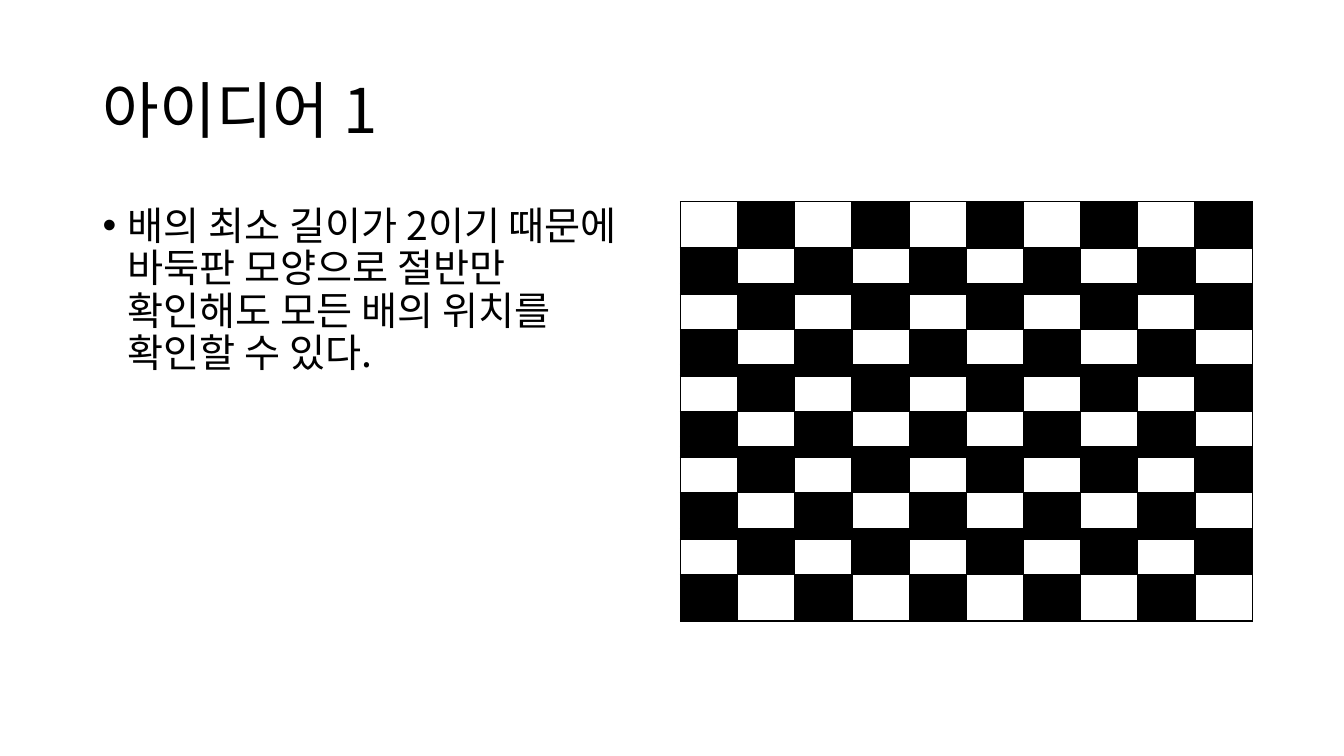
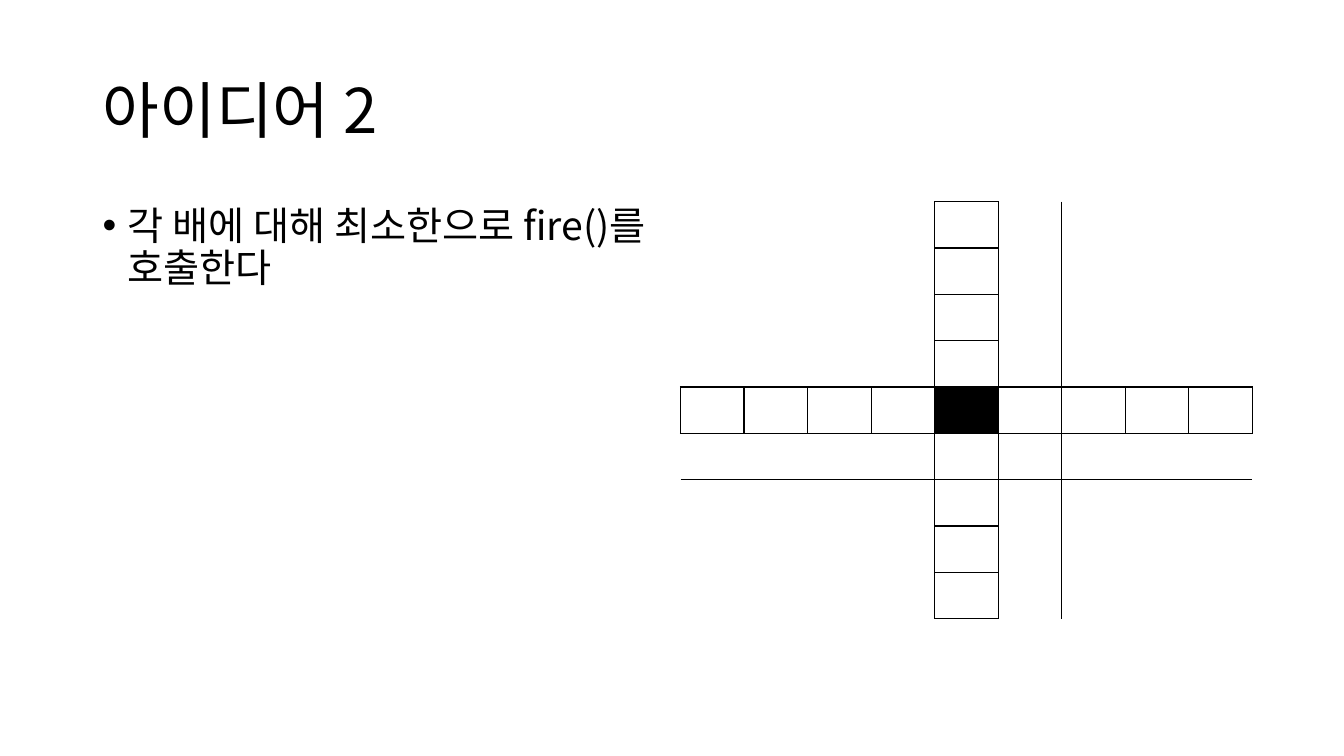
from pptx import Presentation
from pptx.dml.color import RGBColor
from pptx.enum.text import MSO_ANCHOR, MSO_AUTO_SIZE, PP_ALIGN
from pptx.oxml import parse_xml
from pptx.oxml.ns import nsdecls
from pptx.util import Inches, Pt

FONT = "Noto Sans CJK KR"
BLACK = "000000"
PLAIN_TABLE = "{2D5ABB26-0587-4C30-8999-92F81FD0307C}"
ROW_HEIGHT = 0.46


def style_text(frame, size):
    """Give a one-paragraph frame the shared text style."""
    frame.word_wrap = True
    frame.auto_size = MSO_AUTO_SIZE.NONE
    para = frame.paragraphs[0]
    para.alignment = PP_ALIGN.LEFT
    para.line_spacing = 0.9
    for span in para.runs:
        span.font.size = Pt(size)
        span.font.name = FONT
        span.font.color.rgb = RGBColor.from_string(BLACK)
        span.font._element.append(
            parse_xml(f'<a:ea {nsdecls("a")} typeface="{FONT}"/>'))


def add_grid(page, top, rows, columns, is_black, has_vertical, has_horizontal):
    """Add an unstyled table whose fills and lines follow the given rules."""
    frame = page.shapes.add_table(rows, columns, Inches(6.75), Inches(top),
                                  Inches(5.67), Inches(ROW_HEIGHT * rows))
    table = frame.table
    table.first_row = False
    table.horz_banding = False
    table._tbl.tblPr[0].text = PLAIN_TABLE
    for row in range(rows):
        for column in range(columns):
            cell = table.cell(row, column)
            edges = {"lnL": has_vertical(row, column),
                     "lnR": has_vertical(row, column + 1),
                     "lnT": has_horizontal(row, column),
                     "lnB": has_horizontal(row + 1, column)}
            properties = cell._tc.get_or_add_tcPr()
            for edge, drawn in edges.items():
                paint = (f'<a:solidFill><a:srgbClr val="{BLACK}"/></a:solidFill>'
                         if drawn else "<a:noFill/>")
                properties.append(parse_xml(
                    f'<a:{edge} {nsdecls("a")} w="12700">{paint}</a:{edge}>'))
            if is_black(row, column):
                cell.fill.solid()
                cell.fill.fore_color.rgb = RGBColor.from_string(BLACK)
            else:
                cell.fill.background()


deck = Presentation()
deck.slide_width = Inches(13.33)
deck.slide_height = Inches(7.5)

# Title and bullet of each slide
ideas = [
    ("아이디어 1", "배의 최소 길이가 2이기 때문에 바둑판 모양으로 절반만 "
                "확인해도 모든 배의 위치를 확인할 수 있다."),
    ("아이디어 2", "각 배에 대해 최소한으로 fire()를 호출한다"),
]
pages = []
for heading, point in ideas:
    page = deck.slides.add_slide(deck.slide_layouts[5])
    pages.append(page)

    title = page.shapes.title
    title.left, title.top = Inches(0.92), Inches(0.4)
    title.width, title.height = Inches(11.5), Inches(1.45)
    title.text_frame.text = heading
    title.text_frame.vertical_anchor = MSO_ANCHOR.MIDDLE
    style_text(title.text_frame, 44)

    box = page.shapes.add_textbox(Inches(0.92), Inches(2),
                                  Inches(5.67), Inches(4.76))
    box.text_frame.text = point
    style_text(box.text_frame, 28)
    para = box.text_frame.paragraphs[0]
    para.space_before = Pt(10)
    layout = para._p.get_or_add_pPr()
    layout.set("marL", str(Inches(0.25)))
    layout.set("indent", str(-Inches(0.25)))
    layout.append(parse_xml(f'<a:buFont {nsdecls("a")} typeface="Arial"/>'))
    layout.append(parse_xml(f'<a:buChar {nsdecls("a")} char="•"/>'))

board_page, cross_page = pages

# Checkerboard: five overlapping two-row strips
for strip in range(5):
    add_grid(board_page, 2 + 0.81 * strip, 2, 10,
             is_black=lambda row, column: (row + column) % 2 == 1,
             has_vertical=lambda row, line: True,
             has_horizontal=lambda line, column: True)

# Cross of cells around a hit, with one guide line beyond each arm
CENTER = 4
guides = range(CENTER, CENTER + 3)
add_grid(cross_page, 2, 9, 9,
         is_black=lambda row, column: row == column == CENTER,
         has_vertical=lambda row, line: row == CENTER or line in guides,
         has_horizontal=lambda line, column: column == CENTER or line in guides)

deck.save("out.pptx")
